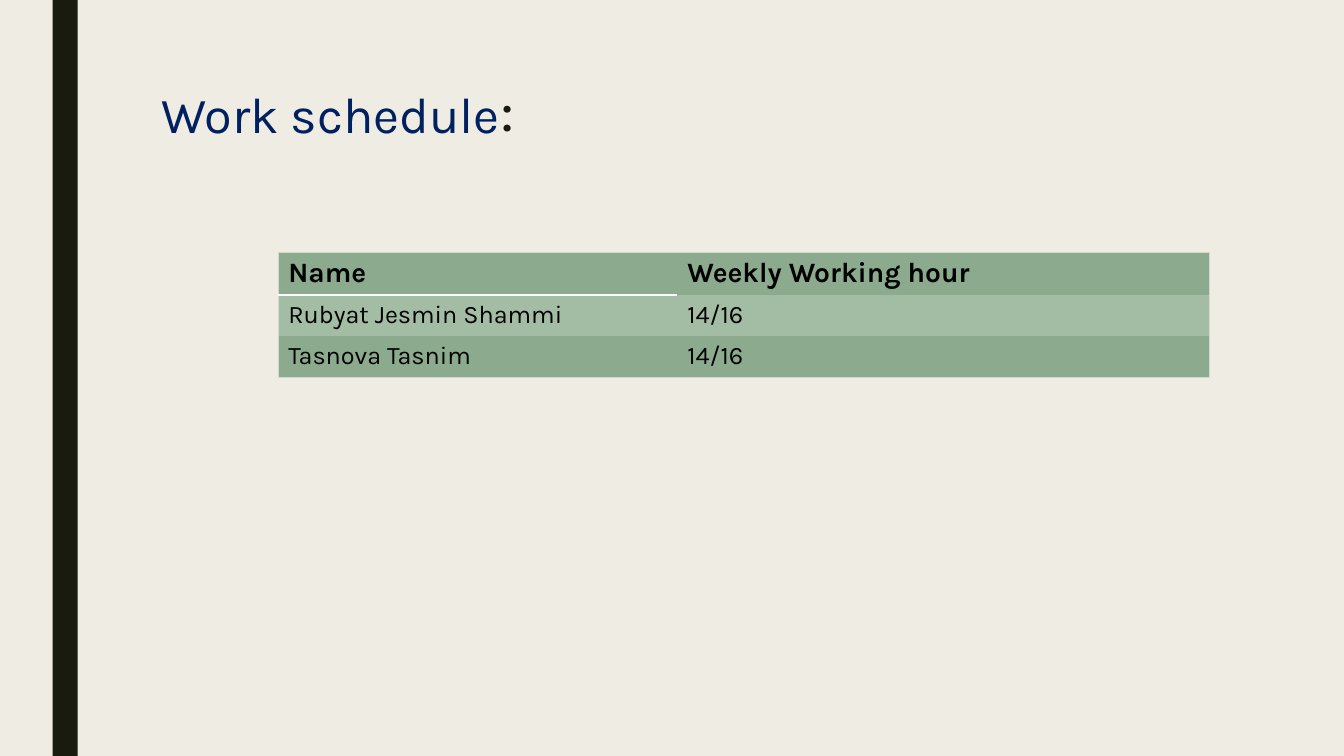
from dataclasses import dataclass

from lxml.etree import SubElement
from pptx import Presentation
from pptx.dml.color import RGBColor
from pptx.enum.shapes import MSO_SHAPE as Preset
from pptx.enum.text import MSO_ANCHOR as Anchor, PP_ALIGN as Align
from pptx.oxml.ns import qn
from pptx.util import Pt


@dataclass(frozen=True)
class Theme:
    font: str = "Karla"
    paper: str = "EFEDE3"
    ink: str = "191B0E"
    navy: str = "002060"
    black: str = "000000"
    white: str = "FFFFFF"
    green: str = "8CAB8E"
    light_green: str = "A3BCA4"
    edge: str = "D0DAD1"
    title_size: float = 36
    colon_size: float = 44
    header_size: float = 20
    body_size: float = 18


@dataclass(frozen=True)
class ScheduleRow:
    name: str
    hours: str
    fill: str
    size: float
    bold: bool = False


THEME = Theme()
ROWS = [
    ScheduleRow("Name", "Weekly Working hour", THEME.green, THEME.header_size, True),
    ScheduleRow("Rubyat Jesmin Shammi", "14/16", THEME.light_green, THEME.body_size),
    ScheduleRow("Tasnova Tasnim", "14/16", THEME.green, THEME.body_size),
]
COLUMN_WIDTHS = (285.1, 380.2)
ROW_HEIGHT = 29.5


def add_span(para, text: str, size: float, color: str, bold: bool = False) -> None:
    span = para.add_run()
    span.text = text
    span.font.name = THEME.font
    span.font.size = Pt(size)
    span.font.bold = bold
    span.font.color.rgb = RGBColor.from_string(color)


def set_borders(cell, borders: dict[str, tuple[str, float]]) -> None:
    """Draw the given sides and switch the others off; call before filling."""
    properties = cell._tc.get_or_add_tcPr()
    for side in "LRTB":
        line = SubElement(properties, qn(f"a:ln{side}"))
        if side in borders:
            color, width = borders[side]
            line.set("w", str(Pt(width)))
            fill = SubElement(line, qn("a:solidFill"))
            SubElement(fill, qn("a:srgbClr")).set("val", color)
        else:
            line.set("w", "0")
            SubElement(line, qn("a:noFill"))


def add_schedule(page) -> None:
    frame = page.shapes.add_table(
        len(ROWS), len(COLUMN_WIDTHS), Pt(198.7), Pt(180),
        Pt(sum(COLUMN_WIDTHS)), Pt(ROW_HEIGHT * len(ROWS)))
    table = frame.table
    table.horz_banding = False
    for column, width in zip(table.columns, COLUMN_WIDTHS):
        column.width = Pt(width)
    last_row, last_column = len(ROWS) - 1, len(COLUMN_WIDTHS) - 1
    edge, rule = (THEME.edge, 0.5), (THEME.white, 1.5)
    for r, row in enumerate(ROWS):
        table.rows[r].height = Pt(ROW_HEIGHT)
        for c, text in enumerate((row.name, row.hours)):
            cell = table.cell(r, c)
            # Thin outer frame, and a white rule below the name heading
            outer = {"L": c == 0, "R": c == last_column, "T": r == 0, "B": r == last_row}
            borders = {side: edge for side, shown in outer.items() if shown}
            if c == 0 and r == 0:
                borders["B"] = rule
            if c == 0 and r == 1:
                borders["T"] = rule
            set_borders(cell, borders)
            cell.fill.solid()
            cell.fill.fore_color.rgb = RGBColor.from_string(row.fill)
            add_span(cell.text_frame.paragraphs[0], text, row.size, THEME.black, row.bold)


def add_side_bar(page) -> None:
    bar = page.shapes.add_shape(Preset.RECTANGLE, Pt(37.5), Pt(0), Pt(18), Pt(540))
    bar.shadow.inherit = False
    bar.fill.solid()
    bar.fill.fore_color.rgb = RGBColor.from_string(THEME.ink)
    bar.line.fill.background()


def set_title(page) -> None:
    title = page.shapes.title
    title.left, title.top, title.width, title.height = Pt(108), Pt(54), Pt(756), Pt(116.6)
    box = title.text_frame
    box.word_wrap = True
    box.vertical_anchor = Anchor.TOP
    para = box.paragraphs[0]
    para.alignment = Align.LEFT
    para.line_spacing = 0.89
    add_span(para, "Work schedule", THEME.title_size, THEME.navy)
    add_span(para, ":", THEME.colon_size, THEME.ink)


# Deck and page
deck = Presentation()
deck.slide_width, deck.slide_height = Pt(960), Pt(540)
page = deck.slides.add_slide(deck.slide_layouts.get_by_name("Title Only"))
page.background.fill.solid()
page.background.fill.fore_color.rgb = RGBColor.from_string(THEME.paper)

# Content
add_side_bar(page)
set_title(page)
add_schedule(page)

deck.save("out.pptx")
